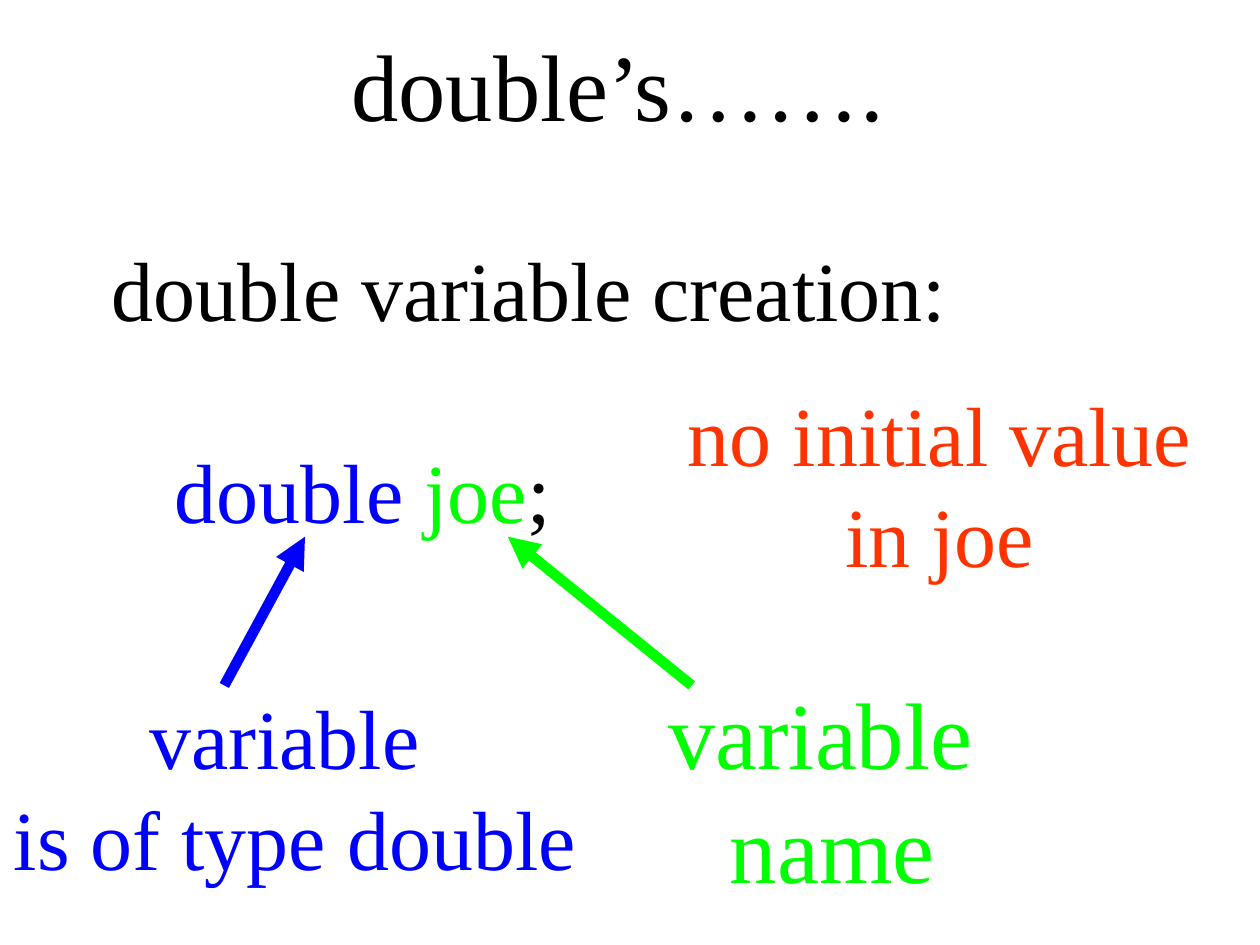
import pptx
import pptx.dml.color
import pptx.enum.shapes
import pptx.enum.text
import pptx.oxml
import pptx.util
from pptx.util import Pt

FONT = "Times New Roman"
BLACK, BLUE, GREEN, RED = "000000", "0000FF", "00FF00", "FF3300"


def color(value):
    """Turn a hex string into a colour."""
    return pptx.dml.color.RGBColor.from_string(value)


def add_text(slide, box, lines, size, centered=False):
    """Write lines of (text, colour) runs in a box and return its paragraphs."""
    shape = slide.shapes.add_textbox(*map(Pt, box))
    frame = shape.text_frame
    frame.word_wrap = True
    frame.auto_size = pptx.enum.text.MSO_AUTO_SIZE.SHAPE_TO_FIT_TEXT
    for index, line in enumerate(lines):
        paragraph = frame.add_paragraph() if index else frame.paragraphs[0]
        if centered:
            paragraph.alignment = pptx.enum.text.PP_ALIGN.CENTER
        for text, value in line:
            run = paragraph.add_run()
            run.text = text
            run.font.name = FONT
            run.font.size = Pt(size)
            run.font.color.rgb = color(value)
    return frame.paragraphs


def add_arrow(slide, start, end, value):
    """Draw a thick line with an arrowhead at its end."""
    arrow = slide.shapes.add_connector(
        pptx.enum.shapes.MSO_CONNECTOR.STRAIGHT, *map(Pt, start + end))
    arrow.line.width = Pt(6)
    arrow.line.color.rgb = color(value)
    line = arrow.line._get_or_add_ln()
    line.append(pptx.oxml.parse_xml(
        f'<a:tailEnd {pptx.oxml.ns.nsdecls("a")} type="triangle"/>'))
    arrow._element.spPr.append(pptx.oxml.parse_xml(
        f'<a:effectLst {pptx.oxml.ns.nsdecls("a")}/>'))


def add_title(slide, box):
    """Write the slide title."""
    add_text(slide, box, [[("double’s…….", BLACK)]], 54)


def add_declaration(slide, box):
    """Write the heading and, a line lower, the indented declaration."""
    lines = [
        [("double variable creation:", BLACK)],
        [("\t", BLACK), ("double ", BLUE), ("joe", GREEN), (";", BLACK)],
    ]
    paragraphs = add_text(slide, box, lines, 48)
    paragraphs[1].space_before = Pt(57.6)


def add_note(slide, box, texts, size, value, arrow=None):
    """Write a centred note, with an optional arrow (x, rise x, rise y)."""
    if arrow:
        left, top = box[:2]
        x, across, rise = arrow
        tail_y = 391.7
        add_arrow(slide, (left + x, tail_y),
                  (left + x + across, tail_y - rise), value)
    add_text(slide, box, [[(text, value)] for text in texts], size, True)


def main():
    """Build and save the slide."""
    presentation = pptx.Presentation()
    presentation.slide_width, presentation.slide_height = Pt(720), Pt(540)
    slide = presentation.slides.add_slide(presentation.slide_layouts[6])
    add_title(slide, (193.7, 12.2, 321.8, 72))
    add_declaration(slide, (56.9, 132.5, 585.4, 180))
    add_note(slide, (374.4, 382.3, 202.3, 136.8), ["variable ", "name"],
             54, GREEN, (20.9, -105.1, 85))
    add_note(slide, (-19.4, 388.1, 375.8, 136.8),
             ["variable ", "is of type double"], 48, BLUE, (147.6, 46.1, 85))
    add_note(slide, (385.9, 215.3, 302.4, 122.4),
             ["no initial value", "in joe"], 48, RED)
    presentation.save("out.pptx")


if __name__ == "__main__":
    main()
